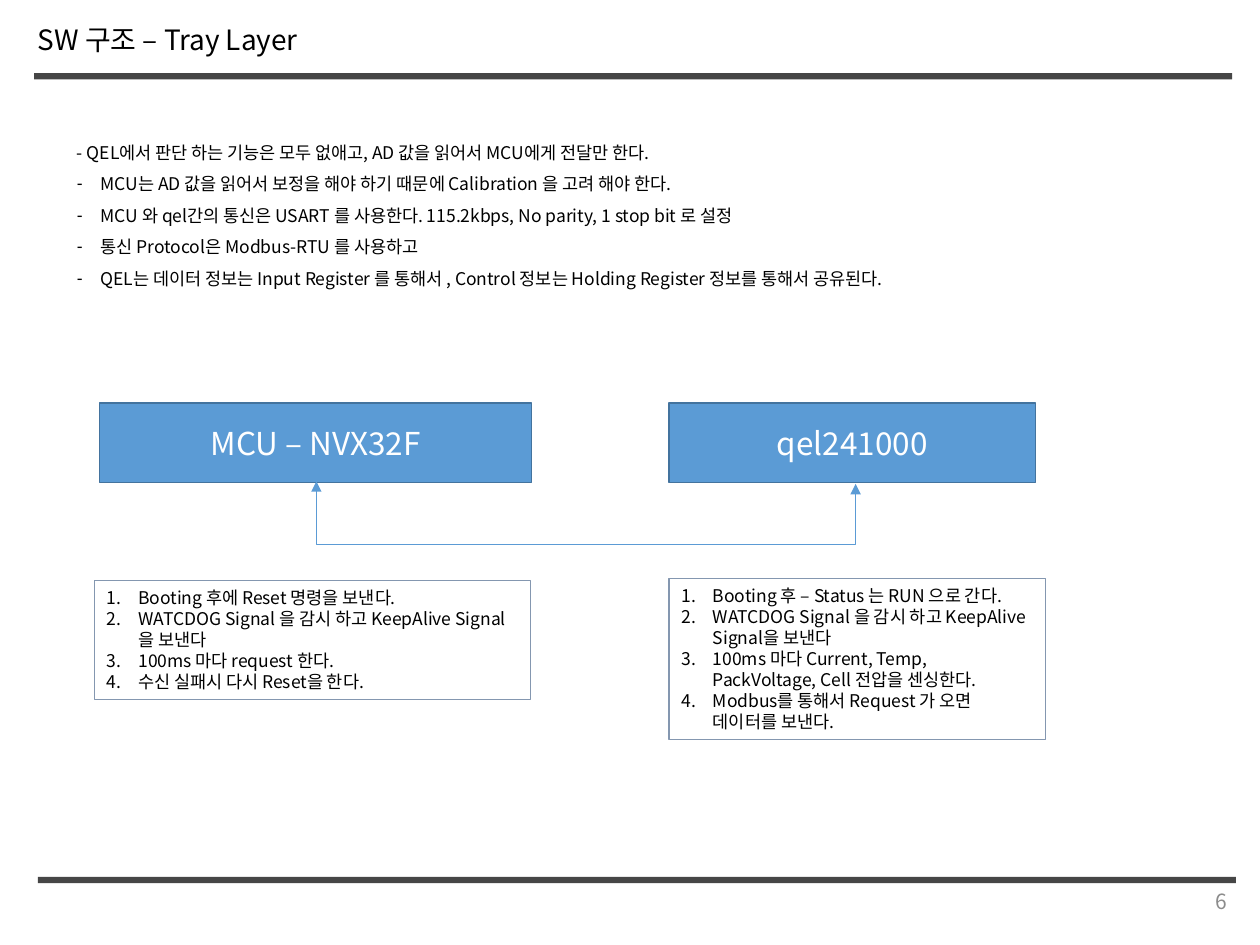
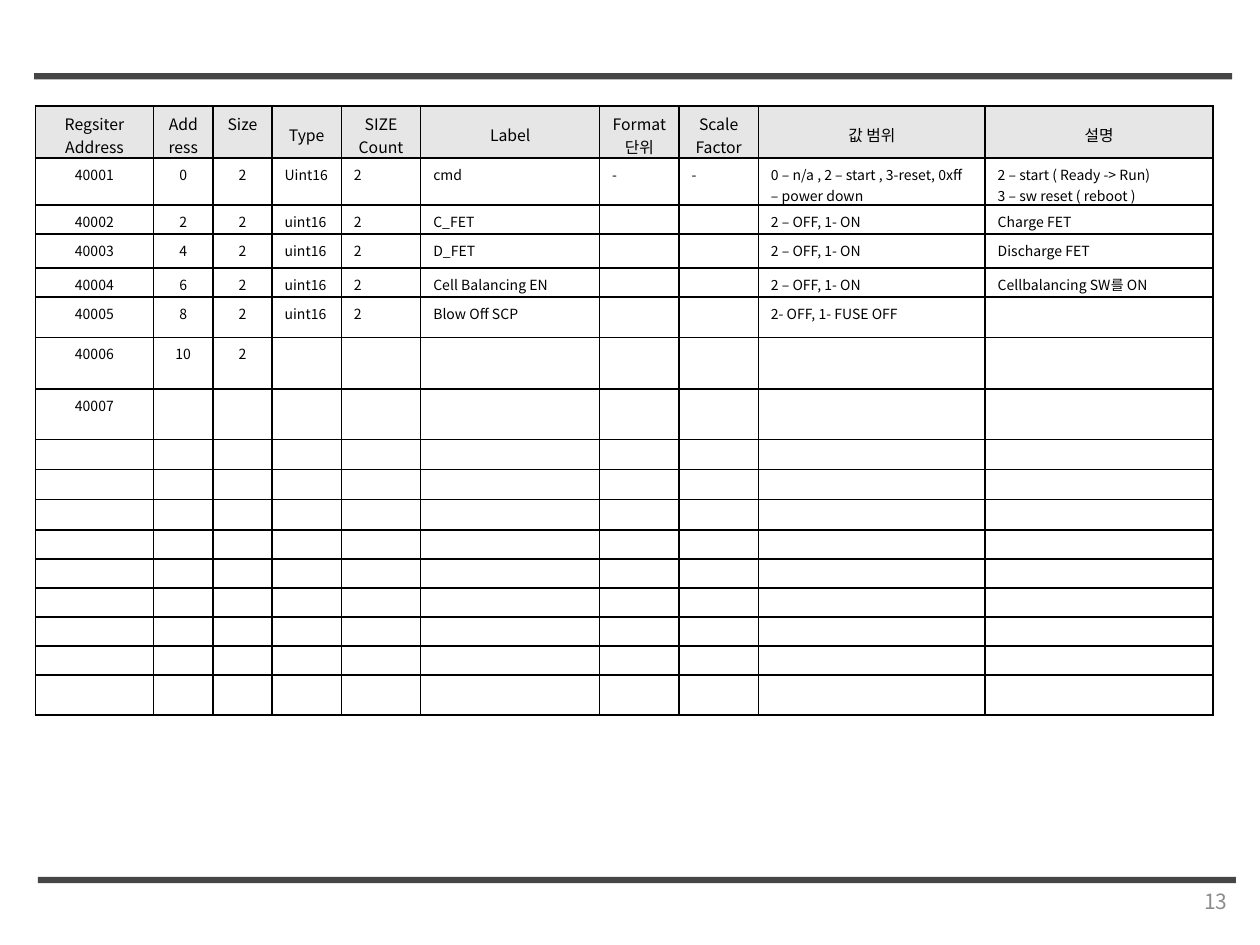
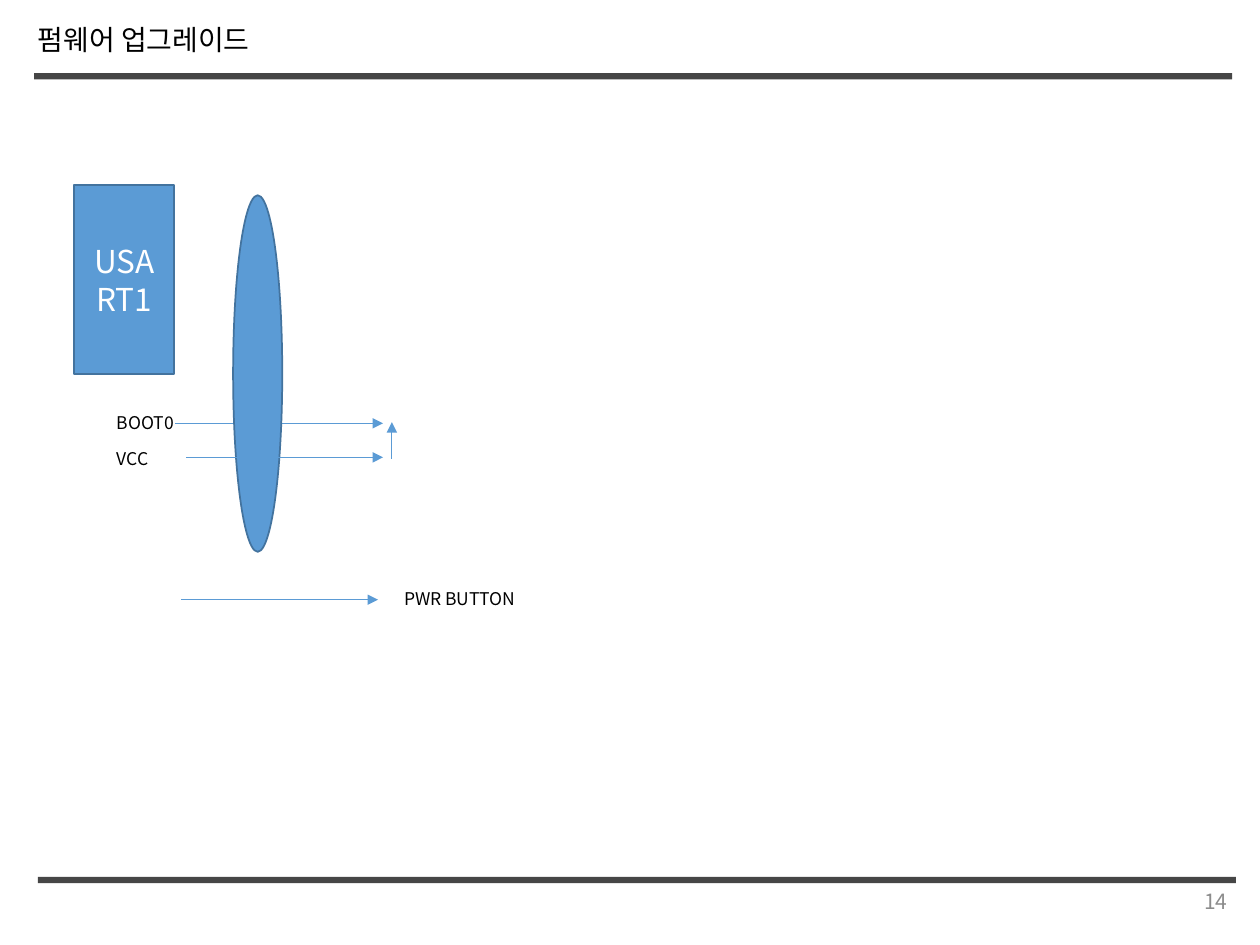
"""Builds three firmware slides: tray layer structure, register map and upgrade wiring."""
import pptx
import pptx.chart.data
import pptx.dml.color
import pptx.enum.shapes
import pptx.enum.text
import pptx.oxml.ns
import pptx.util
from lxml import etree

Inches = pptx.util.Inches
Pt = pptx.util.Pt
RGBColor = pptx.dml.color.RGBColor
qn = pptx.oxml.ns.qn
ALIGN = pptx.enum.text.PP_ALIGN
ANCHOR = pptx.enum.text.MSO_ANCHOR
SHAPE = pptx.enum.shapes.MSO_SHAPE
CONNECTOR = pptx.enum.shapes.MSO_CONNECTOR

FONT = "Noto Sans CJK KR"
COLORS = {
    "text": "000000", "band": "464646", "number": "8C8C8C", "white": "FFFFFF",
    "blue": "5B9BD5", "blue_edge": "43739E", "note_edge": "8497B0", "header": "E7E6E6",
}


def write(frame, text, size, color="text", align=ALIGN.LEFT, anchor=ANCHOR.TOP, wrap=True):
    """Fill a text frame and format all its runs."""
    frame.text = text
    frame.word_wrap = wrap
    frame.auto_size = pptx.enum.text.MSO_AUTO_SIZE.NONE
    frame.vertical_anchor = anchor
    for paragraph in frame.paragraphs:
        paragraph.alignment = align
        for run in paragraph.runs:
            run.font.size = Pt(size)
            run.font.name = FONT
            run.font.color.rgb = RGBColor.from_string(COLORS[color])
            etree.SubElement(run.font._element, qn("a:ea"), typeface=FONT)


def draw_arrow(slide, kind, start, end, heads=("tailEnd",)):
    """Draw a thin blue connector with triangle heads."""
    arrow = slide.shapes.add_connector(kind, *map(Inches, start + end))
    arrow.line.color.rgb = RGBColor.from_string(COLORS["blue"])
    arrow.line.width = Pt(0.5)
    for head in heads:
        etree.SubElement(arrow.line._get_or_add_ln(), qn(f"a:{head}"), type="triangle")
    etree.SubElement(arrow.element.spPr, qn("a:effectLst"))
    return arrow


prs = pptx.Presentation()
prs.slide_width, prs.slide_height = Inches(10), Inches(7.5)
tray, registers, upgrade = [prs.slides.add_slide(prs.slide_layouts[i]) for i in (1, 6, 5)]

for band_id, (left, top) in enumerate([(0.27, 0.58), (0.3, 6.96)], start=20):
    band = tray.shapes.add_shape(
        SHAPE.RECTANGLE, Inches(left), Inches(top), Inches(9.51), Inches(0.05))
    band.shadow.inherit = False
    band.fill.solid()
    band.fill.fore_color.rgb = RGBColor.from_string(COLORS["band"])
    band.line.fill.background()
    band.element.nvSpPr.cNvPr.set("id", str(band_id))
    prs.slide_master.element.cSld.spTree.append(band.element)

for slide, number in [(tray, "6"), (registers, "13"), (upgrade, "14")]:
    page = slide.shapes.add_textbox(Inches(7.59), Inches(6.95), Inches(2.25), Inches(0.4))
    write(page.text_frame, number, 12, "number", ALIGN.RIGHT, ANCHOR.MIDDLE)

for slide, heading in [(tray, "SW 구조 – Tray Layer"), (upgrade, "펌웨어 업그레이드")]:
    title = slide.shapes.title
    title.left, title.top, title.width, title.height = map(Inches, (0.2, 0.13, 4.57, 0.37))
    write(title.text_frame, heading, 16)

rules = tray.placeholders[1]
rules.left, rules.top, rules.width, rules.height = map(Inches, (0.51, 0.99, 7.08, 1.36))
write(rules.text_frame, "\n".join([
    "- QEL에서 판단 하는 기능은 모두 없애고, AD 값을 읽어서 MCU에게 전달만 한다.",
    "MCU는 AD 값을 읽어서 보정을 해야 하기 때문에 Calibration 을 고려 해야 한다.",
    "MCU 와 qel간의 통신은 USART 를 사용한다. 115.2kbps, No parity, 1 stop bit 로 설정",
    "통신 Protocol은 Modbus-RTU 를 사용하고",
    "QEL는 데이터 정보는 Input Register 를 통해서 , Control 정보는 Holding Register 정보를 통해서 공유된다.",
]), 10, wrap=False)
for index, rule in enumerate(rules.text_frame.paragraphs):
    rule.line_spacing = 1.5
    rule.space_before = Pt(0)
    properties = rule._p.get_or_add_pPr()
    indent = Inches(0.19) if index else 0
    properties.set("marL", str(indent))
    properties.set("indent", str(-indent))
    if index:
        etree.SubElement(properties, qn("a:buChar"), char="-")
    else:
        etree.SubElement(properties, qn("a:buNone"))

draw_arrow(upgrade, CONNECTOR.STRAIGHT, (1.39, 3.36), (3.04, 3.36))

for slide, outline, box, label in [
    (tray, SHAPE.RECTANGLE, (0.79, 3.2, 3.43, 0.63), "MCU – NVX32F"),
    (tray, SHAPE.RECTANGLE, (5.31, 3.2, 2.91, 0.63), "qel241000"),
    (upgrade, SHAPE.RECTANGLE, (0.59, 1.47, 0.79, 1.5), "USART1"),
    (upgrade, SHAPE.OVAL, (1.85, 1.55, 0.39, 2.83), ""),
]:
    block = slide.shapes.add_shape(outline, *map(Inches, box))
    block.shadow.inherit = False
    block.fill.solid()
    block.fill.fore_color.rgb = RGBColor.from_string(COLORS["blue"])
    block.line.color.rgb = RGBColor.from_string(COLORS["blue_edge"])
    block.line.width = Pt(1)
    write(block.text_frame, label, 18, "white", ALIGN.CENTER, ANCHOR.MIDDLE)

link = draw_arrow(tray, CONNECTOR.ELBOW, (4.64, 1.69), (4.66, 5.97), ("headEnd", "tailEnd"))
link_frame = link.element.spPr.find(qn("a:xfrm"))
link_frame.set("rot", "16200000")
link_frame.set("flipH", "1")
etree.SubElement(link.element.spPr.find(qn("a:prstGeom")).find(qn("a:avLst")), qn("a:gd"),
                 name="adj1", fmla="val 2500000")

for box, steps in [
    ((5.31, 4.59, 2.99, 1.28), [
        "Booting 후 – Status 는 RUN 으로 간다.",
        "WATCDOG Signal 을 감시 하고 KeepAlive Signal을 보낸다",
        "100ms 마다 Current, Temp, PackVoltage, Cell 전압을 센싱한다.",
        "Modbus를 통해서 Request 가 오면 데이터를 보낸다."]),
    ((0.75, 4.61, 3.46, 0.94), [
        "Booting 후에 Reset 명령을 보낸다.",
        "WATCDOG Signal 을 감시 하고 KeepAlive Signal을 보낸다",
        "100ms 마다 request 한다.",
        "수신 실패시 다시 Reset을 한다."]),
]:
    note = tray.shapes.add_shape(SHAPE.RECTANGLE, *map(Inches, box))
    note.shadow.inherit = False
    note.fill.solid()
    note.fill.fore_color.rgb = RGBColor.from_string(COLORS["white"])
    note.line.color.rgb = RGBColor.from_string(COLORS["note_edge"])
    note.line.width = Pt(0.75)
    write(note.text_frame, "\n".join(steps), 10)
    for step in note.text_frame.paragraphs:
        properties = step._p.get_or_add_pPr()
        properties.set("marL", str(Inches(0.25)))
        properties.set("indent", str(-Inches(0.25)))
        etree.SubElement(properties, qn("a:buAutoNum"), type="arabicPeriod")

register_rows = [
    ["Regsiter\nAddress", "Address", "Size", "Type", "SIZE\nCount", "Label", "Format 단위",
     "Scale\nFactor", "값 범위", "설명"],
    ["40001", "0", "2", "Uint16", "2", "cmd", "-", "-",
     "0 – n/a , 2 – start , 3-reset, 0xff – power down",
     "2 – start ( Ready -> Run)\n3 – sw reset ( reboot )"],
    ["40002", "2", "2", "uint16", "2", "C_FET", "", "", "2 – OFF, 1- ON", "Charge FET"],
    ["40003", "4", "2", "uint16", "2", "D_FET", "", "", "2 – OFF, 1- ON", "Discharge FET"],
    ["40004", "6", "2", "uint16", "2", "Cell Balancing EN", "", "", "2 – OFF, 1- ON",
     "Cellbalancing SW를 ON"],
    ["40005", "8", "2", "uint16", "2", "Blow Off SCP", "", "", "2- OFF, 1- FUSE OFF", ""],
    ["40006", "10", "2"] + [""] * 7,
    ["40007"] + [""] * 9,
] + [[""] * 10] * 9
column_widths = [0.94, 0.47, 0.47, 0.55, 0.63, 1.42, 0.63, 0.63, 1.8, 1.81]
row_heights = [0.4, 0.37, 0.23, 0.27, 0.23, 0.32, 0.41, 0.4] + [0.24] * 3 + [0.23] * 5 + [0.32]
register_map = registers.shapes.add_table(
    len(row_heights), len(column_widths), Inches(0.28), Inches(0.84),
    Inches(sum(column_widths)), Inches(sum(row_heights))).table
register_map.first_row = register_map.horz_banding = False
for column, width in zip(register_map.columns, column_widths):
    column.width = Inches(width)
for r, (row, height) in enumerate(zip(register_map.rows, row_heights)):
    row.height = Inches(height)
    for c, cell in enumerate(row.cells):
        write(cell.text_frame, register_rows[r][c], 8 if r else 9,
              align=ALIGN.CENTER if r == 0 or c < 3 else ALIGN.LEFT)
        if not register_rows[r][c]:
            etree.SubElement(cell.text_frame.paragraphs[0]._p, qn("a:endParaRPr"), sz="900")
        cell.vertical_anchor = ANCHOR.TOP if r or c == 2 else ANCHOR.MIDDLE
        cell.margin_left = cell.margin_right = Inches(0.1)
        cell.margin_top, cell.margin_bottom = Inches(0.05), 0
        cell_properties = cell._tc.get_or_add_tcPr()
        for side in ("lnL", "lnR", "lnT", "lnB"):
            border = etree.SubElement(cell_properties, qn(f"a:{side}"), w=str(Pt(1)))
            border_fill = etree.SubElement(border, qn("a:solidFill"))
            etree.SubElement(border_fill, qn("a:srgbClr"), val=COLORS["text"])
        if r:
            cell.fill.background()
        else:
            cell.fill.solid()
            cell.fill.fore_color.rgb = RGBColor.from_string(COLORS["header"])

for start, end in [
    ((1.48, 3.63), (3.04, 3.63)),
    ((3.11, 3.64), (3.11, 3.35)),
    ((1.44, 4.76), (3, 4.76)),
]:
    draw_arrow(upgrade, CONNECTOR.STRAIGHT, start, end)

for signal, left, top, width in [
    ("BOOT0", 0.83, 3.22, 0.65), ("VCC", 0.83, 3.51, 0.65), ("PWR BUTTON", 3.11, 4.62, 1.1),
]:
    caption = upgrade.shapes.add_textbox(Inches(left), Inches(top), Inches(width), Inches(0.27))
    write(caption.text_frame, signal, 10, wrap=False)

prs.save("out.pptx")
